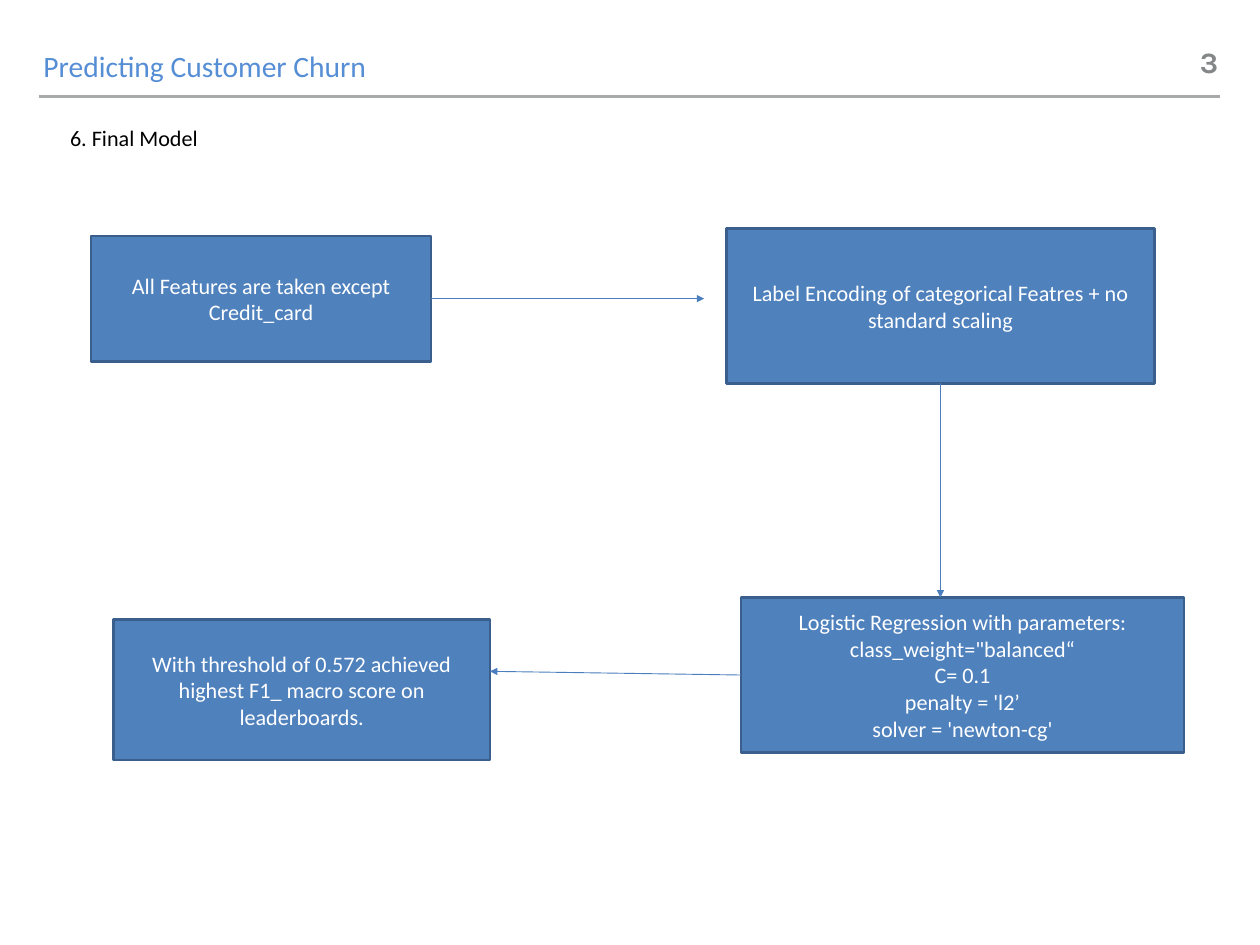
from dataclasses import dataclass

from lxml.etree import SubElement
from pptx import Presentation
from pptx.dml.color import RGBColor
from pptx.enum.shapes import MSO_CONNECTOR as Connector, MSO_SHAPE as Preset
from pptx.enum.text import MSO_ANCHOR as Anchor, MSO_AUTO_SIZE as AutoSize, PP_ALIGN as Align
from pptx.oxml.ns import qn
from pptx.util import Inches, Pt


@dataclass(frozen=True)
class Theme:
    font: str = "Calibri"
    number_font: str = "Karla"
    title: str = "558ED5"
    number: str = "838787"
    rule: str = "A6AAA9"
    text: str = "000000"
    box: str = "4F81BD"
    box_line: str = "3A5F8C"
    box_text: str = "FFFFFF"
    arrow: str = "4B7EBC"
    heading_size: int = 24
    text_size: int = 18
    thick: float = 2
    thin: float = 0.75


@dataclass(frozen=True)
class Region:
    """Grid of twelve cells to the inch, starting at left, top."""
    left: float
    top: float

    def point(self, column, row):
        return Inches(self.left + column / 12), Inches(self.top + row / 12)

    def box(self, column, row, columns, rows):
        return *self.point(column, row), Inches(columns / 12), Inches(rows / 12)


THEME = Theme()


def color(value):
    return RGBColor.from_string(value)


def write(shape, text, font=THEME.font, size=THEME.text_size, ink=THEME.text, bold=False,
          align=Align.LEFT, anchor=Anchor.TOP, insets=(0.1, 0.05, 0.1, 0.05),
          before=0, spacing=None, wrap=True):
    frame = shape.text_frame
    frame.text = text
    frame.auto_size = AutoSize.NONE
    frame.word_wrap = wrap
    frame.vertical_anchor = anchor
    frame.margin_left, frame.margin_top, frame.margin_right, frame.margin_bottom = map(Inches, insets)
    for paragraph in frame.paragraphs:
        paragraph.alignment = align
        paragraph.space_before = Pt(before)
        for run in paragraph.runs:
            run.font.name, run.font.size, run.font.bold = font, Pt(size), bold
            run.font.color.rgb = color(ink)
            if spacing is not None:
                run.font._element.set("spc", str(round(spacing * 100)))


def place(shape, box):
    shape.left, shape.top, shape.width, shape.height = box


def draw_line(slide, start, end, ink, width, arrow=False):
    line = slide.shapes.add_connector(Connector.STRAIGHT, *start, *end)
    line.line.color.rgb = color(ink)
    line.line.width = Pt(width)
    properties = line._element.spPr
    if arrow:
        SubElement(properties.find(qn("a:ln")), qn("a:tailEnd"), type="triangle")
    SubElement(properties, qn("a:effectLst"))


def draw_header(slide, region, title, number):
    draw_line(slide, region.point(0, 7.2), region.point(160, 7.2), THEME.rule, THEME.thick)
    insets = (0, 0.01, 0, 0)
    place(slide.shapes.title, region.box(0.6, 0.5, 72, 5.2))
    write(slide.shapes.title, title, size=THEME.heading_size, ink=THEME.title, insets=insets)
    number_box = slide.shapes.add_textbox(*region.box(157.2, 0, 2.3, 5.2))
    write(number_box, number, font=THEME.number_font, size=THEME.heading_size, ink=THEME.number,
          bold=True, insets=insets, before=1, spacing=-2.5, wrap=False)


def draw_subtitle(slide, region, text):
    body = slide.placeholders[1]
    place(body, region.box(0, 0, 62, 4.8))
    write(body, text)
    for paragraph in body.text_frame.paragraphs:
        properties = paragraph._p.get_or_add_pPr()
        properties.set("marL", "0")
        properties.set("indent", "0")
        SubElement(properties, qn("a:buNone"))


def draw_flow(slide, region, steps, arrows):
    for text, cells in steps:
        box = slide.shapes.add_shape(Preset.RECTANGLE, *region.box(*cells))
        box.shadow.inherit = False
        box.fill.solid()
        box.fill.fore_color.rgb = color(THEME.box)
        box.line.color.rgb = color(THEME.box_line)
        box.line.width = Pt(THEME.thick)
        write(box, text, ink=THEME.box_text, align=Align.CENTER, anchor=Anchor.MIDDLE)
    for start, end in arrows:
        draw_line(slide, region.point(*start), region.point(*end), THEME.arrow, THEME.thin, arrow=True)


# Model steps: text and (column, row, columns, rows)
STEPS = [
    ("All Features are taken except Credit_card", (0, 1, 46, 17)),
    ("Label Encoding of categorical Featres + no standard scaling", (86, 0, 58, 21)),
    ("Logistic Regression with parameters:\nclass_weight=\"balanced“\nC= 0.1\n"
     "penalty = 'l2’\nsolver = 'newton-cg'", (88, 50, 60, 21)),
    ("With threshold of 0.572 achieved highest F1_ macro score on leaderboards.", (3, 53, 51, 19)),
]
ARROWS = [((46, 9.5), (83, 9.5)), ((115, 21), (115, 50)), ((88, 60.5), (54, 60))]

presentation = Presentation()
presentation.slide_width, presentation.slide_height = Inches(14.22), Inches(10.67)
slide = presentation.slides.add_slide(presentation.slide_layouts[1])
draw_header(slide, Region(0.44, 0.49), "Predicting Customer Churn", "3")
draw_subtitle(slide, Region(0.69, 1.35), "6. Final Model")
draw_flow(slide, Region(1.03, 2.58), STEPS, ARROWS)
presentation.save("out.pptx")
